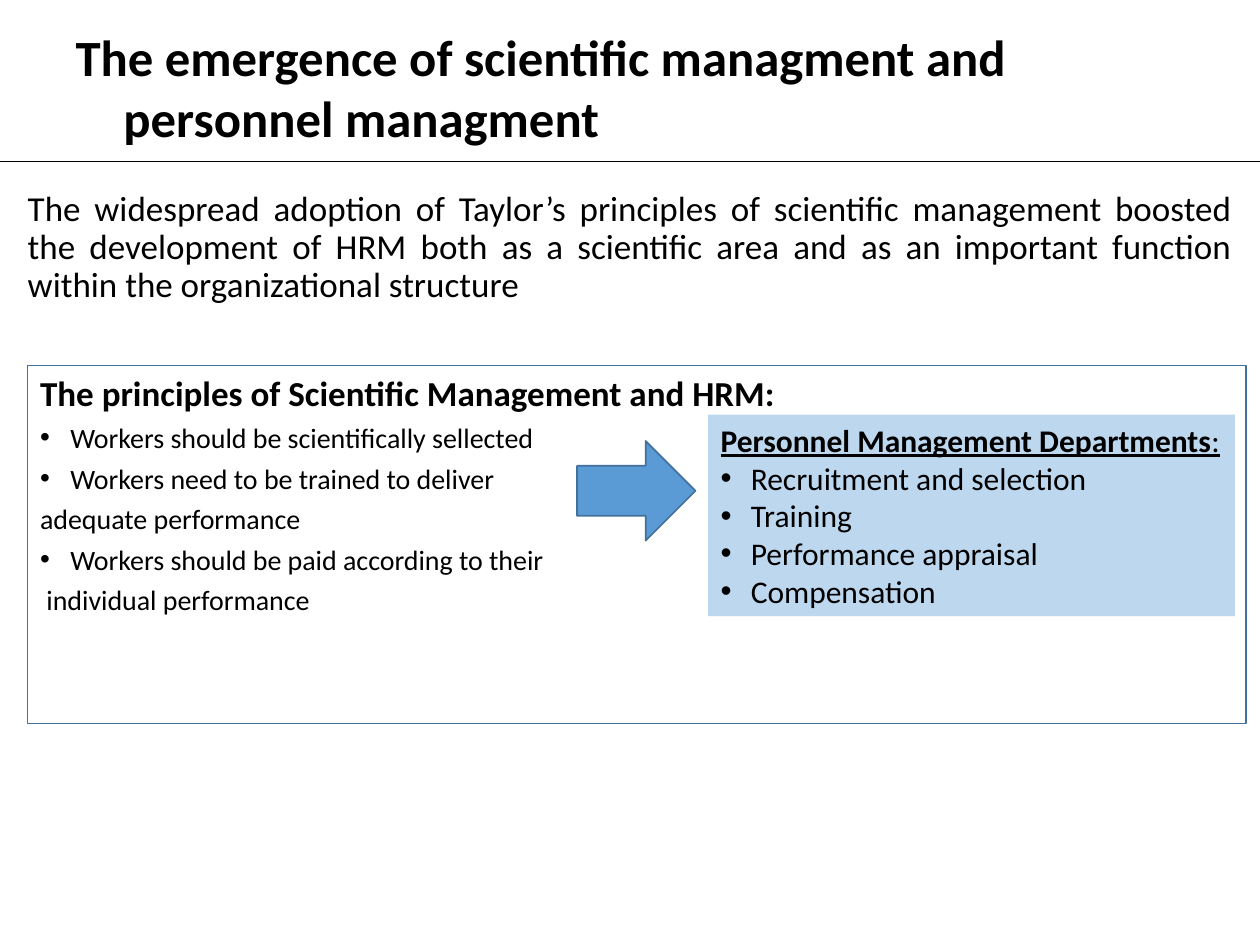
from lxml.etree import SubElement
from pptx import Presentation
from pptx.dml.color import RGBColor
from pptx.enum.shapes import MSO_CONNECTOR as LINE, MSO_SHAPE as SHAPE
from pptx.enum.text import MSO_ANCHOR as ANCHOR, MSO_AUTO_SIZE as FIT, PP_ALIGN as ALIGN
from pptx.oxml.ns import qn
from pptx.util import Inches, Pt

FONT, BLACK, BLUE, PALE, EDGE = "Calibri", "000000", "5B9BD5", "BDD7EE", "41719C"
HANG = 0.24

TITLE = "The emergence of scientific managment and personnel managment"
INTRO = ("The widespread adoption of Taylor’s principles of scientific management "
         "boosted the development of HRM both as a scientific area and as an "
         "important function within the organizational structure")
PRINCIPLES_HEAD = "The principles of Scientific Management and HRM:"
# (text, bulleted)
PRINCIPLES = [
    ("Workers should be scientifically sellected", True),
    ("Workers need to be trained to deliver ", True),
    ("adequate performance", False),
    ("Workers should be paid according to their", True),
    (" individual performance", False),
]
DEPARTMENTS_HEAD = "Personnel Management Departments"
DEPARTMENTS = ["Recruitment and selection", "Training", "Performance appraisal", "Compensation"]


def color(hex_string):
    """Turn a hex string into a colour."""
    return RGBColor.from_string(hex_string)


def place(shape, left, top, width, height):
    """Move and size a shape, in inches."""
    shape.left, shape.top = Inches(left), Inches(top)
    shape.width, shape.height = Inches(width), Inches(height)


def add_run(paragraph, text, size, bold=False, underline=False):
    """Append one formatted run."""
    run = paragraph.add_run()
    run.text = text
    font = run.font
    font.name, font.size, font.bold, font.underline = FONT, Pt(size), bold, underline
    font.color.rgb = color(BLACK)


def set_indent(paragraph, hang=0, bulleted=False):
    """Give a hanging indent and switch the bullet on or off."""
    props = paragraph._p.get_or_add_pPr()
    props.set("marL", str(Inches(hang)))
    props.set("indent", str(-Inches(hang)))
    if bulleted:
        SubElement(props, qn("a:buFont")).set("typeface", "Arial")
        SubElement(props, qn("a:buChar")).set("char", "•")
    else:
        SubElement(props, qn("a:buNone"))


def add_line(frame, text, size, bulleted=False, before=0):
    """Append a left-aligned paragraph holding one run."""
    paragraph = frame.add_paragraph()
    paragraph.alignment = ALIGN.LEFT
    paragraph.space_before = Pt(before)
    set_indent(paragraph, HANG if bulleted else 0, bulleted)
    add_run(paragraph, text, size)


def add_box(kind, box, fill=None, line=None, weight=1):
    """Add a flat preset shape with top-anchored text."""
    shape = slide.shapes.add_shape(kind, *map(Inches, box))
    shape.shadow.inherit = False
    if fill:
        shape.fill.solid()
        shape.fill.fore_color.rgb = color(fill)
    else:
        shape.fill.background()
    if line:
        shape.line.color.rgb = color(line)
        shape.line.width = Pt(weight)
    else:
        shape.line.fill.background()
    shape.text_frame.vertical_anchor = ANCHOR.TOP
    shape.text_frame.paragraphs[0].alignment = ALIGN.LEFT
    return shape


deck = Presentation()
deck.slide_width, deck.slide_height = Inches(10), Inches(7.5)
slide = deck.slides.add_slide(deck.slide_layouts[1])
title, intro = slide.placeholders

rule = slide.shapes.add_connector(LINE.STRAIGHT, 0, Inches(1.28), deck.slide_width, Inches(1.28))
rule.line.color.rgb = color(BLACK)
rule.line.width = Pt(0.5)
SubElement(rule._element.spPr, qn("a:effectLst"))

place(title, 0.5, 0.3, 8.38, 0.77)
title.text_frame.auto_size = FIT.NONE
title.text_frame.vertical_anchor = ANCHOR.MIDDLE
heading = title.text_frame.paragraphs[0]
heading.alignment = ALIGN.LEFT
set_indent(heading, 0.38)
add_run(heading, TITLE, 29, bold=True)

place(intro, 0.12, 1.47, 9.76, 1.26)
intro.text_frame.auto_size = FIT.NONE
summary = intro.text_frame.paragraphs[0]
summary.alignment = ALIGN.JUSTIFY
summary.line_spacing = 0.9
summary.space_before = Pt(7.5)
set_indent(summary)
add_run(summary, INTRO, 20)

principles = add_box(SHAPE.RECTANGLE, (0.22, 2.9, 9.67, 2.84), line=EDGE, weight=0.75).text_frame
principles.paragraphs[0].space_before = Pt(5)
add_run(principles.paragraphs[0], PRINCIPLES_HEAD, 20, bold=True)
for text, bulleted in PRINCIPLES:
    add_line(principles, text, 16, bulleted, before=4)

add_box(SHAPE.RIGHT_ARROW, (4.58, 3.5, 0.94, 0.79), BLUE, EDGE)

departments = add_box(SHAPE.RECTANGLE, (5.62, 3.29, 4.18, 1.6), PALE).text_frame
departments.word_wrap = False
add_run(departments.paragraphs[0], DEPARTMENTS_HEAD, 18, bold=True, underline=True)
add_run(departments.paragraphs[0], ":", 18, underline=True)
for text in DEPARTMENTS:
    add_line(departments, text, 18, bulleted=True)

deck.save("out.pptx")
